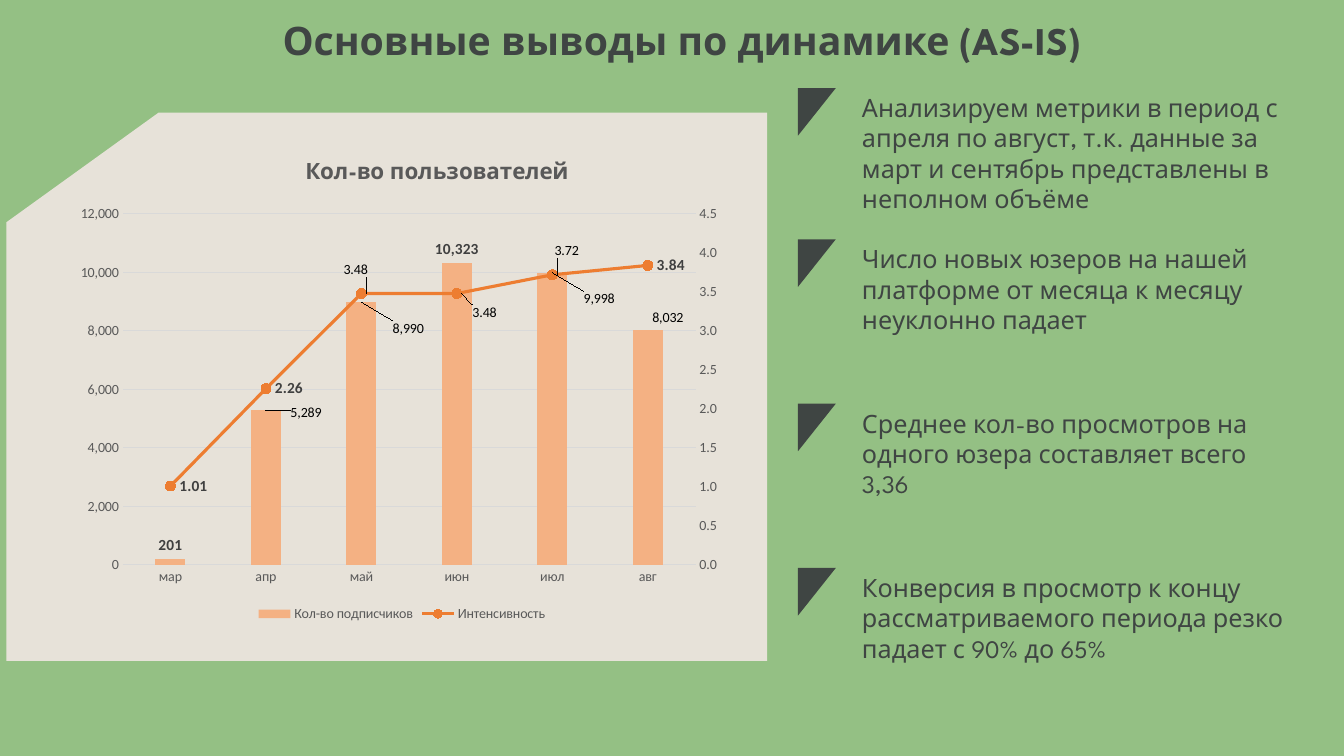
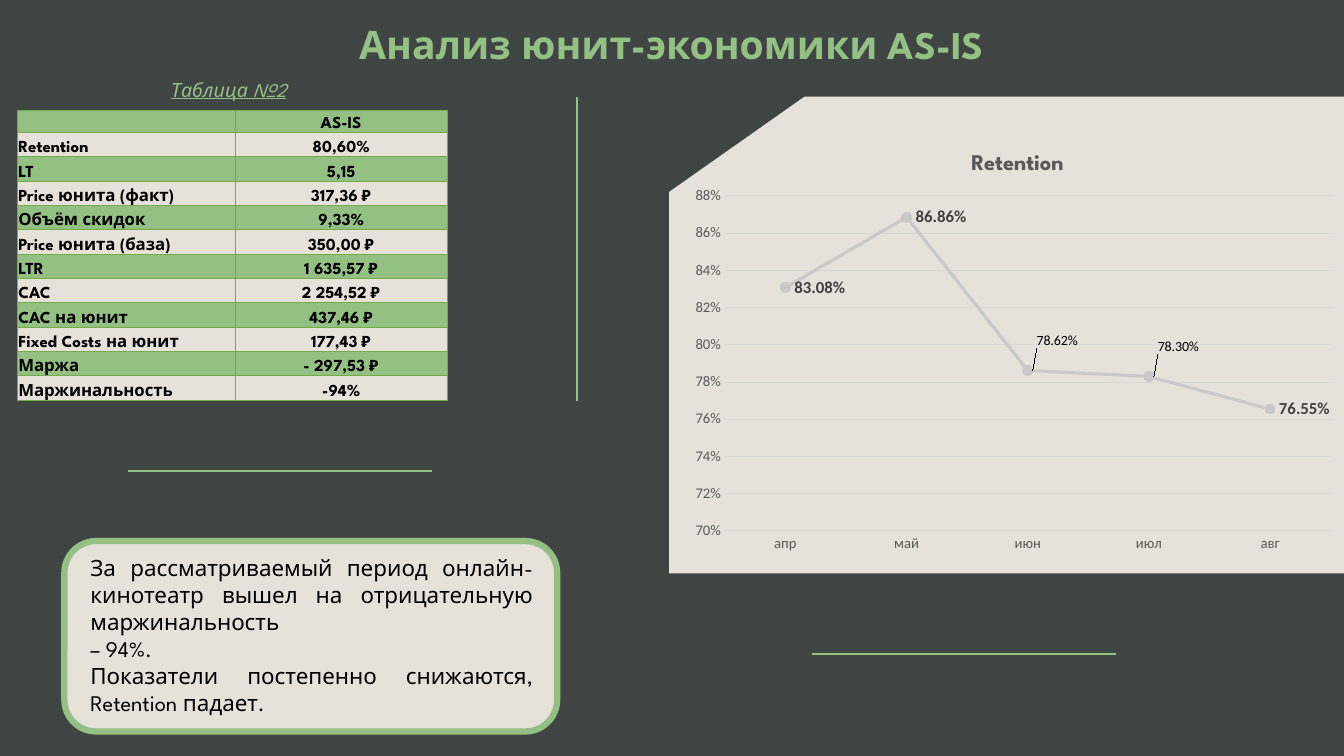
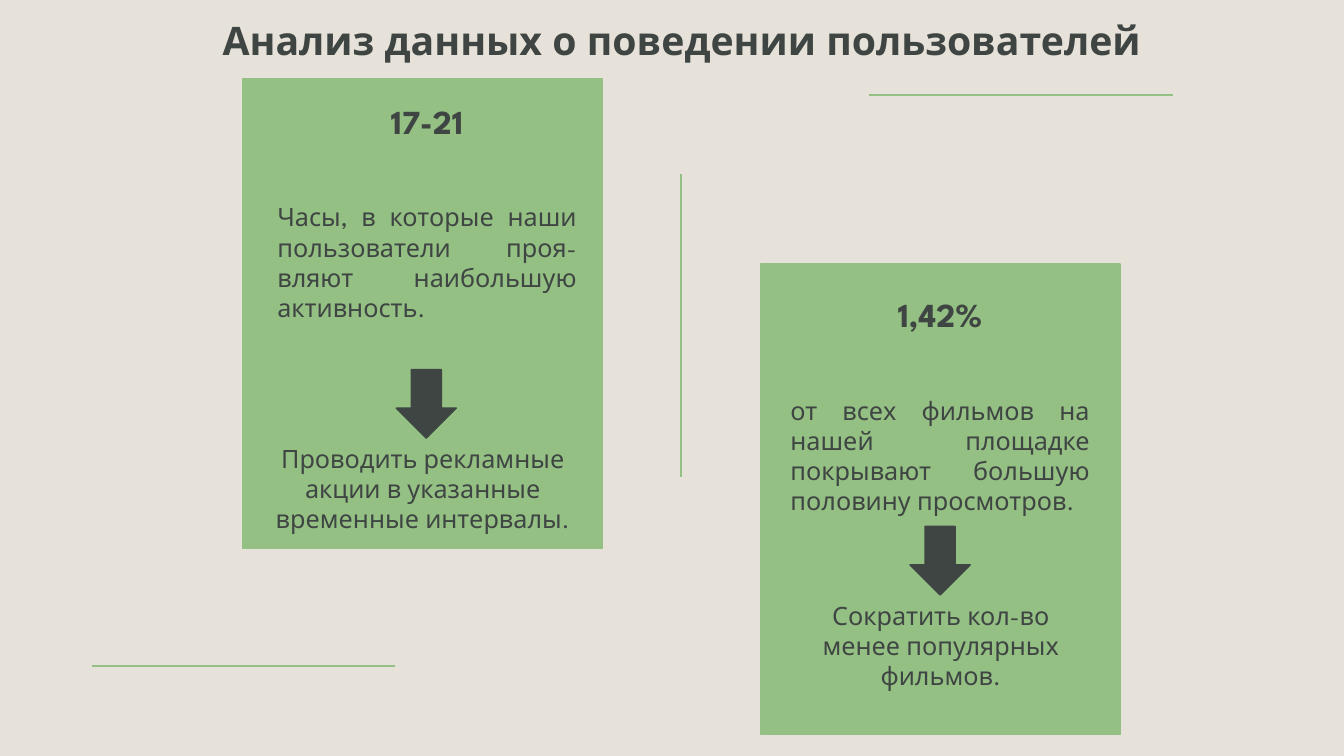
import copy
from dataclasses import dataclass

import lxml.etree
import pptx
import pptx.chart.data
import pptx.dml.color
import pptx.enum.chart
import pptx.enum.shapes
import pptx.enum.text
import pptx.oxml
import pptx.oxml.ns
import pptx.util

COLORS = {
    "green": "94C084",
    "dark": "3F4543",
    "cream": "E7E2D9",
    "black": "000000",
    "table_rule": "70AD47",
    "axis_text": "595959",
    "label_text": "404040",
    "grid": "D9D9D9",
    "bars": "F4B183",
    "intensity": "ED7D31",
    "retention": "C9C9C9",
}
TEXT_FONT = "League Spartan"
CHART_FONT = "Calibri"
RULE_LENGTH = 217
ALIGN = pptx.enum.text.PP_ALIGN
SHAPE = pptx.enum.shapes.MSO_SHAPE
LABEL_POSITION = pptx.enum.chart.XL_LABEL_POSITION
CHART_TYPE = pptx.enum.chart.XL_CHART_TYPE


@dataclass(frozen=True)
class Box:
    left: float
    top: float
    width: float
    height: float

    def lengths(self) -> list:
        return [pptx.util.Pt(v) for v in (self.left, self.top, self.width, self.height)]


@dataclass(frozen=True)
class Style:
    size: float
    color: str = "dark"
    bold: bool = False
    italic: bool = False
    underline: bool = False
    font: str = TEXT_FONT


@dataclass(frozen=True)
class Para:
    text: str
    style: Style
    align: int = ALIGN.LEFT
    space_before: float = 0


@dataclass(frozen=True)
class Insight:
    text: str
    marker_top: float
    space_before: float


@dataclass(frozen=True)
class Finding:
    card: Box
    summary: Box
    arrow: Box
    advice: Box
    figure: str
    meaning: str
    action: str


@dataclass(frozen=True)
class AxisScale:
    low: float
    high: float
    step: float
    number_format: str


BODY = Style(18)
CONCLUSION = Style(16, "black")
CELL = Style(12, "black", bold=True)
CHART_TITLE = Style(16, "axis_text", bold=True)

INSIGHTS = [
    Insight("Анализируем метрики в период с апреля по август, т.к. данные за март и сентябрь представлены в неполном объёме", 63, 0),
    Insight("Число новых юзеров на нашей платформе от месяца к месяцу неуклонно падает", 171, 21.6),
    Insight("Среднее кол-во просмотров на одного юзера составляет всего 3,36", 288.4, 52.6),
    Insight("Конверсия в просмотр к концу рассматриваемого периода резко падает с 90% до 65%", 405.8, 52.6),
]
UNIT_ECONOMICS = [
    ("", "AS-IS"),
    ("Retention", "80,60%"),
    ("LT", "5,15"),
    ("Price юнита (факт)", "317,36 ₽"),
    ("Объём скидок", "9,33%"),
    ("Price юнита (база)", "350,00 ₽"),
    ("LTR", "1 635,57 ₽"),
    ("CAC", "2 254,52 ₽"),
    ("CAC на юнит", "437,46 ₽"),
    ("Fixed Costs на юнит", "177,43 ₽"),
    ("Маржа", "- 297,53 ₽"),
    ("Маржинальность", "-94%"),
]
FINDINGS = [
    Finding(
        Box(173.5, 56, 256.5, 336), Box(191, 68.5, 228, 167), Box(283, 264, 43, 49), Box(188, 313, 228, 73),
        "17-21", "Часы, в которые наши пользователи проя-вляют наибольшую активность.",
        "Проводить рекламные акции в указанные временные интервалы.",
    ),
    Finding(
        Box(543.5, 188.5, 256.5, 336), Box(557.5, 206.5, 228, 167), Box(650, 376, 43, 49), Box(558, 425, 228, 73),
        "1,42%", "от всех фильмов на нашей площадке покрывают большую половину просмотров.",
        "Сократить кол-во менее популярных фильмов.",
    ),
]


def rgb(color: str) -> pptx.dml.color.RGBColor:
    return pptx.dml.color.RGBColor.from_string(COLORS[color])


def apply_font(font, style: Style) -> None:
    font.name = style.font
    font.size = pptx.util.Pt(style.size)
    font.bold = style.bold
    font.italic = style.italic
    font.underline = style.underline
    font.color.rgb = rgb(style.color)


def write(frame, paras: list[Para]) -> None:
    for index, para in enumerate(paras):
        paragraph = frame.paragraphs[0] if index == 0 else frame.add_paragraph()
        paragraph.alignment = para.align
        paragraph.space_before = pptx.util.Pt(para.space_before)
        run = paragraph.add_run()
        run.text = para.text
        apply_font(run.font, para.style)


def place(holder, box: Box, paras: list[Para]) -> None:
    holder.left, holder.top, holder.width, holder.height = box.lengths()
    frame = holder.text_frame
    frame.word_wrap = True
    frame.auto_size = pptx.enum.text.MSO_AUTO_SIZE.NONE
    frame.vertical_anchor = pptx.enum.text.MSO_ANCHOR.TOP
    write(frame, paras)


def add_text(slide, box: Box, paras: list[Para]) -> None:
    place(slide.shapes.add_textbox(*box.lengths()), box, paras)


def add_slide(deck, layout: int, background: str, title: str, color: str, left: float, top: float):
    slide = deck.slides.add_slide(deck.slide_layouts[layout])
    slide.background.fill.solid()
    slide.background.fill.fore_color.rgb = rgb(background)
    place(slide.shapes.title, Box(left, top, 703, 41), [Para(title, Style(28, color, bold=True), ALIGN.CENTER)])
    return slide


def add_block(slide, kind, box: Box, fill: str, line: str = "", width: float = 1, rotation: float = 0) -> None:
    block = slide.shapes.add_shape(kind, *box.lengths())
    block.shadow.inherit = False
    block.rotation = rotation
    block.fill.solid()
    block.fill.fore_color.rgb = rgb(fill)
    if line:
        block.line.color.rgb = rgb(line)
        block.line.width = pptx.util.Pt(width)
    else:
        block.line.fill.background()


def add_rule(slide, left: float, top: float, vertical: bool = False) -> None:
    right, bottom = (left, top + RULE_LENGTH) if vertical else (left + RULE_LENGTH, top)
    ends = [pptx.util.Pt(v) for v in (left, top, right, bottom)]
    rule = slide.shapes.add_connector(pptx.enum.shapes.MSO_CONNECTOR.STRAIGHT, *ends)
    rule.line.color.rgb = rgb("green")
    rule.line.width = pptx.util.Pt(1.5)
    lxml.etree.SubElement(rule._element.spPr, pptx.oxml.ns.qn("a:effectLst"))


def manual_layout(x: float, y: float, size: tuple[float, float] | None = None, edge: bool = True):
    values = []
    if size:
        values.append(("layoutTarget", "inner"))
    if edge:
        values += [("xMode", "edge"), ("yMode", "edge")]
    values += [("x", x), ("y", y)]
    if size:
        values += [("w", size[0]), ("h", size[1])]
    inner = "".join(f'<c:{tag} val="{value}"/>' for tag, value in values)
    return pptx.oxml.parse_xml(
        f'<c:layout {pptx.oxml.ns.nsdecls("c")}><c:manualLayout>{inner}</c:manualLayout></c:layout>'
    )


def add_chart(slide, kind, box: Box, data, title: str, title_at: tuple[float, float], plot: Box,
              scale: AxisScale, axis_size: float):
    chart = slide.shapes.add_chart(kind, *box.lengths(), data).chart
    chart.font.name = CHART_FONT
    chart.font.size = pptx.util.Pt(10)
    chart.has_legend = False
    chart.has_title = True
    write(chart.chart_title.text_frame, [Para(title, CHART_TITLE, ALIGN.CENTER)])
    heading = chart.chart_title._element
    for automatic in heading.xpath("c:layout"):
        heading.remove(automatic)
    heading.xpath("c:tx")[0].addnext(manual_layout(*title_at))
    area = chart._chartSpace.xpath("c:chart/c:plotArea")[0]
    for automatic in area.xpath("c:layout"):
        area.remove(automatic)
    area.insert(0, manual_layout(plot.left, plot.top, (plot.width, plot.height)))
    months, values = chart.category_axis, chart.value_axis
    for axis in (months, values):
        axis.major_tick_mark = pptx.enum.chart.XL_TICK_MARK.NONE
        axis.minor_tick_mark = pptx.enum.chart.XL_TICK_MARK.NONE
        apply_font(axis.tick_labels.font, Style(axis_size, "axis_text", font=CHART_FONT))
    months.has_major_gridlines = False
    values.has_major_gridlines = True
    for line in (months.format.line, values.major_gridlines.format.line):
        line.color.rgb = rgb("grid")
        line.width = pptx.util.Pt(0.75)
    values.format.line.fill.background()
    values.minimum_scale, values.maximum_scale, values.major_unit = scale.low, scale.high, scale.step
    values.tick_labels.number_format = scale.number_format
    values.tick_labels.number_format_is_linked = False
    return chart


def label_points(series, number_format: str, size: float, position, offsets: dict[int, tuple[float, float]]) -> None:
    labels = series.data_labels
    labels.show_value = True
    labels.number_format = number_format
    labels.number_format_is_linked = False
    labels.position = position
    apply_font(labels.font, Style(size, "label_text", bold=True, font=CHART_FONT))
    shared = labels._element
    for index, (x, y) in offsets.items():
        series.points[index].data_label.position = position
        moved = shared.xpath(f'c:dLbl[c:idx/@val="{index}"]')[0]
        anchor = moved.xpath("c:idx")[0]
        for tag in ("c:txPr", "c:numFmt"):
            anchor.addnext(copy.deepcopy(shared.xpath(tag)[0]))
        anchor.addnext(manual_layout(x, y, edge=False))


def style_line(series, line: str, marker: str) -> None:
    series.smooth = False
    series.format.line.color.rgb = rgb(line)
    series.format.line.width = pptx.util.Pt(2.25)
    series.marker.style = pptx.enum.chart.XL_MARKER_STYLE.CIRCLE
    series.marker.size = 7
    fill_marker(series.marker, marker)


def fill_marker(marker, color: str) -> None:
    marker.format.fill.solid()
    marker.format.fill.fore_color.rgb = rgb(color)
    marker.format.line.color.rgb = rgb(color)


def move_to_right_axis(chart, scale: AxisScale) -> None:
    area = chart._chartSpace.xpath("c:chart/c:plotArea")[0]
    columns = area.xpath("c:barChart")[0]
    moved = columns.xpath("c:ser")[1]
    for bar_only in moved.xpath("c:invertIfNegative"):
        moved.remove(bar_only)
    lines = pptx.oxml.parse_xml(
        f'<c:lineChart {pptx.oxml.ns.nsdecls("c")}><c:grouping val="standard"/><c:varyColors val="0"/>'
        '<c:marker val="1"/><c:axId val="5001"/><c:axId val="5002"/></c:lineChart>'
    )
    lines.insert(2, moved)
    columns.addnext(lines)
    value_axis = area.xpath("c:valAx")[0]
    right = copy.deepcopy(value_axis)
    hidden = copy.deepcopy(area.xpath("c:catAx")[0])
    right.remove(right.xpath("c:majorGridlines")[0])
    right.xpath("c:numFmt")[0].set("formatCode", scale.number_format)
    settings = [
        (right, {"c:axId": 5002, "c:crossAx": 5001, "c:axPos": "r", "c:crosses": "max",
                 "c:scaling/c:min": scale.low, "c:scaling/c:max": scale.high, "c:majorUnit": scale.step}),
        (hidden, {"c:axId": 5001, "c:crossAx": 5002, "c:delete": 1}),
    ]
    for axis, changes in settings:
        for tag, value in changes.items():
            axis.xpath(tag)[0].set("val", str(value))
        value_axis.addnext(axis)


def add_unit_table(slide) -> None:
    count = len(UNIT_ECONOMICS)
    box = Box(12.5, 78.5, 307, 207.4)
    table = slide.shapes.add_table(count, 2, *box.lengths()).table
    table.first_row = False
    table.horz_banding = False
    for column, width in zip(table.columns, (155.5, 151.5)):
        column.width = pptx.util.Pt(width)
    for row, texts in enumerate(UNIT_ECONOMICS):
        table.rows[row].height = pptx.util.Pt(17.4 if row else 16)
        for column, text in enumerate(texts):
            cell = table.cell(row, column)
            cell.vertical_anchor = pptx.enum.text.MSO_ANCHOR.BOTTOM
            cell.margin_left = cell.margin_right = cell.margin_top = pptx.util.Pt(0.6)
            cell.margin_bottom = pptx.util.Pt(0)
            cell.fill.solid()
            cell.fill.fore_color.rgb = rgb("cream" if row % 2 else "green")
            if text:
                write(cell.text_frame, [Para(text, CELL, ALIGN.CENTER if column else ALIGN.LEFT)])
            else:
                cell.text_frame.paragraphs[0]._p.get_or_add_endParaRPr().set("sz", "1200")
            properties = cell._tc.get_or_add_tcPr()
            for order, side in enumerate("LRTB"):
                properties.insert(order, pptx.oxml.parse_xml(
                    f'<a:ln{side} {pptx.oxml.ns.nsdecls("a")} w="6350"><a:solidFill>'
                    f'<a:srgbClr val="{COLORS["table_rule"]}"/></a:solidFill></a:ln{side}>'
                ))


def build_dynamics(deck) -> None:
    slide = add_slide(deck, 1, "green", "Основные выводы по динамике (AS-IS)", "dark", 135.5, 8)
    add_block(slide, SHAPE.FLOWCHART_CARD, Box(4.5, 80.5, 543.5, 391.5), "cream")
    users = pptx.chart.data.CategoryChartData(number_format="General")
    users.categories = ["мар", "апр", "май", "июн", "июл", "авг"]
    users.add_series("Кол-во подписчиков", [201, 5289, 8990, 10323, 9998, 8032])
    users.add_series("Интенсивность", [1.01, 2.26, 3.48, 3.48, 3.72, 3.84])
    chart = add_chart(slide, CHART_TYPE.COLUMN_CLUSTERED, Box(48, 105, 478, 342), users,
                      "Кол-во пользователей", (0.35, 0.02), Box(0.083, 0.14, 0.856, 0.733),
                      AxisScale(0, 12000, 2000, "#,##0"), 10)
    move_to_right_axis(chart, AxisScale(0, 4.5, 0.5, "0.0"))
    chart.has_legend = True
    chart.legend.position = pptx.enum.chart.XL_LEGEND_POSITION.BOTTOM
    chart.legend.include_in_layout = False
    apply_font(chart.legend.font, Style(10, "axis_text", font=CHART_FONT))
    columns, lines = chart.plots
    columns.gap_width, columns.overlap = 219, -27
    columns.vary_by_categories = False
    subscribers, intensity = columns.series[0], lines.series[0]
    subscribers.format.fill.solid()
    subscribers.format.fill.fore_color.rgb = rgb("bars")
    label_points(subscribers, "#,##0", 11, LABEL_POSITION.OUTSIDE_END,
                 {1: (0.06, 0.03), 2: (0.07, 0.08), 4: (0.07, 0.08), 5: (0.03, 0)})
    style_line(intensity, "intensity", "intensity")
    label_points(intensity, "0.00", 11, LABEL_POSITION.RIGHT,
                 {2: (-0.04, -0.05), 3: (0.01, 0.04), 4: (-0.01, -0.05)})
    place(slide.placeholders[1], Box(608.5, 62.5, 327, 416),
          [Para(item.text, BODY, space_before=item.space_before) for item in INSIGHTS])
    for paragraph, item in zip(slide.placeholders[1].text_frame.paragraphs, INSIGHTS):
        properties = paragraph._p.get_or_add_pPr()
        properties.set("marL", "0")
        properties.set("indent", "0")
        lxml.etree.SubElement(properties, pptx.oxml.ns.qn("a:buNone"))
        add_block(slide, SHAPE.RIGHT_TRIANGLE, Box(566.5, item.marker_top + 3.4, 34, 27), "dark", rotation=90)


def build_unit_economics(deck) -> None:
    slide = add_slide(deck, 5, "dark", "Анализ юнит-экономики AS-IS", "green", 128, 11)
    add_block(slide, SHAPE.FLOWCHART_CARD, Box(478, 69, 484, 340.5), "cream")
    retention_data = pptx.chart.data.CategoryChartData(number_format="0.00%")
    retention_data.categories = ["апр", "май", "июн", "июл", "авг"]
    retention_data.add_series("Series 1", [0.8308, 0.8686, 0.7862, 0.783, 0.7655])
    chart = add_chart(slide, CHART_TYPE.LINE_MARKERS, Box(487.5, 93.5, 473, 308), retention_data,
                      "Retention", (0.43, 0.04), Box(0.064, 0.151, 0.915, 0.777),
                      AxisScale(0.7, 0.88, 0.02, "0%"), 10.5)
    chart.plots[0].vary_by_categories = False
    retention = chart.plots[0].series[0]
    style_line(retention, "retention", "green")
    fill_marker(retention.points[0].marker, "retention")
    label_points(retention, "0.00%", 12, LABEL_POSITION.RIGHT, {2: (0, -0.07), 3: (0, -0.07)})
    add_block(slide, SHAPE.ROUNDED_RECTANGLE, Box(46, 386.5, 352, 136), "cream", "green", 4.5)
    add_unit_table(slide)
    add_text(slide, Box(57.5, 392.5, 330.5, 124), [
        Para(text, CONCLUSION, ALIGN.JUSTIFY) for text in (
            "За рассматриваемый период онлайн-кинотеатр вышел на отрицательную маржинальность",
            "– 94%.",
            "Показатели постепенно снижаются, Retention падает.",
        )
    ])
    add_rule(slide, 412, 69.5, vertical=True)
    add_rule(slide, 91.5, 336.5)
    add_rule(slide, 580, 467)
    add_text(slide, Box(8, 52, 311, 24.5),
             [Para("Таблица №2", Style(14, "green", italic=True, underline=True), ALIGN.CENTER)])


def build_behaviour(deck) -> None:
    slide = add_slide(deck, 5, "cream", "Анализ данных о поведении пользователей", "dark", 135.5, 8)
    for finding in FINDINGS:
        add_block(slide, SHAPE.RECTANGLE, finding.card, "green", "green")
        add_text(slide, finding.summary, [
            Para(finding.figure, Style(24, bold=True), ALIGN.CENTER),
            Para(finding.meaning, BODY, ALIGN.JUSTIFY, 43.2),
        ])
        add_block(slide, SHAPE.DOWN_ARROW, finding.arrow, "dark", "dark")
        add_text(slide, finding.advice, [Para(finding.action, BODY, ALIGN.CENTER)])
    add_rule(slide, 486.5, 124, vertical=True)
    add_rule(slide, 65.5, 476)
    add_rule(slide, 621, 68)


def main() -> None:
    deck = pptx.Presentation()
    deck.slide_width, deck.slide_height = pptx.util.Pt(960), pptx.util.Pt(540)
    build_dynamics(deck)
    build_unit_economics(deck)
    build_behaviour(deck)
    deck.save("out.pptx")


if __name__ == "__main__":
    main()
